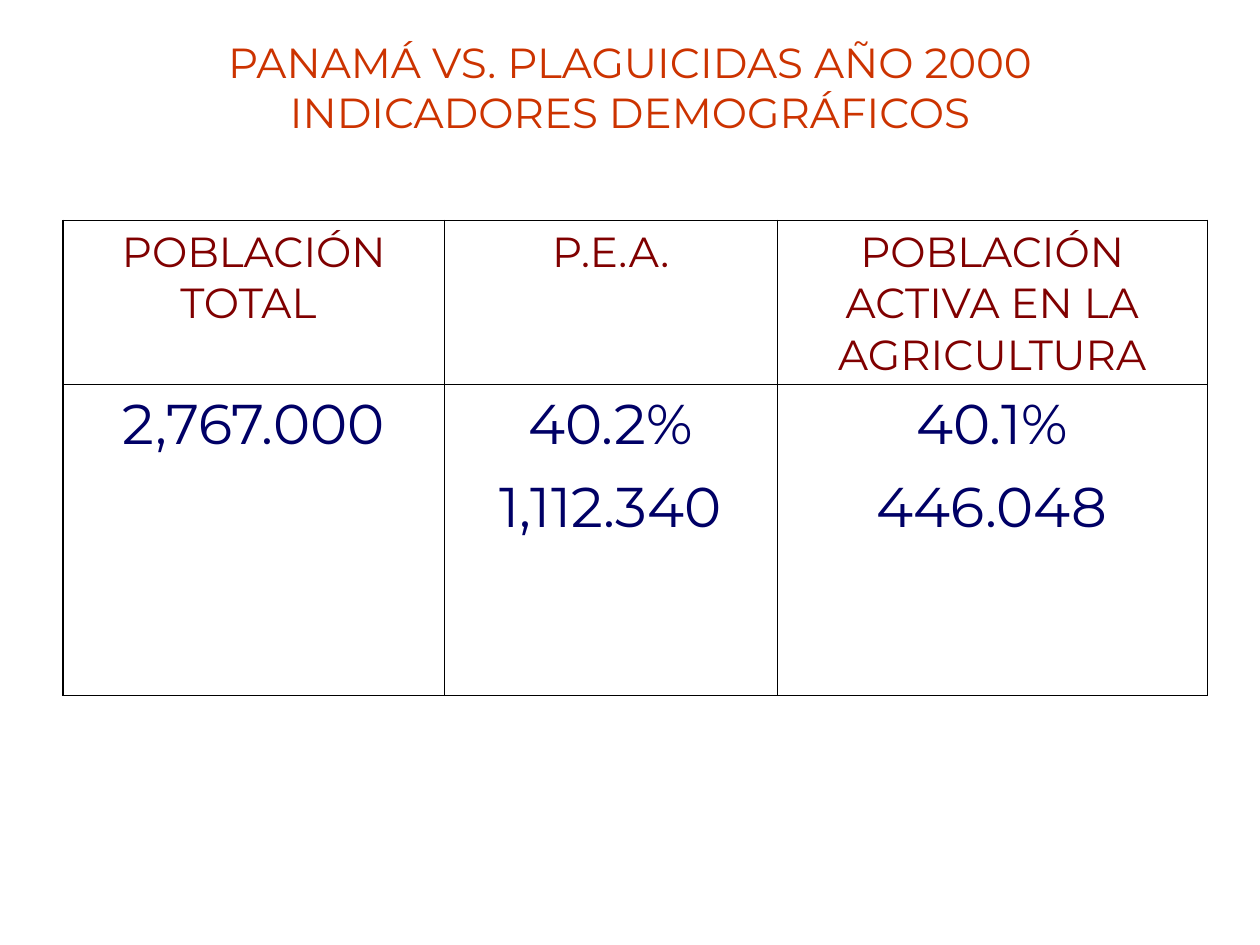
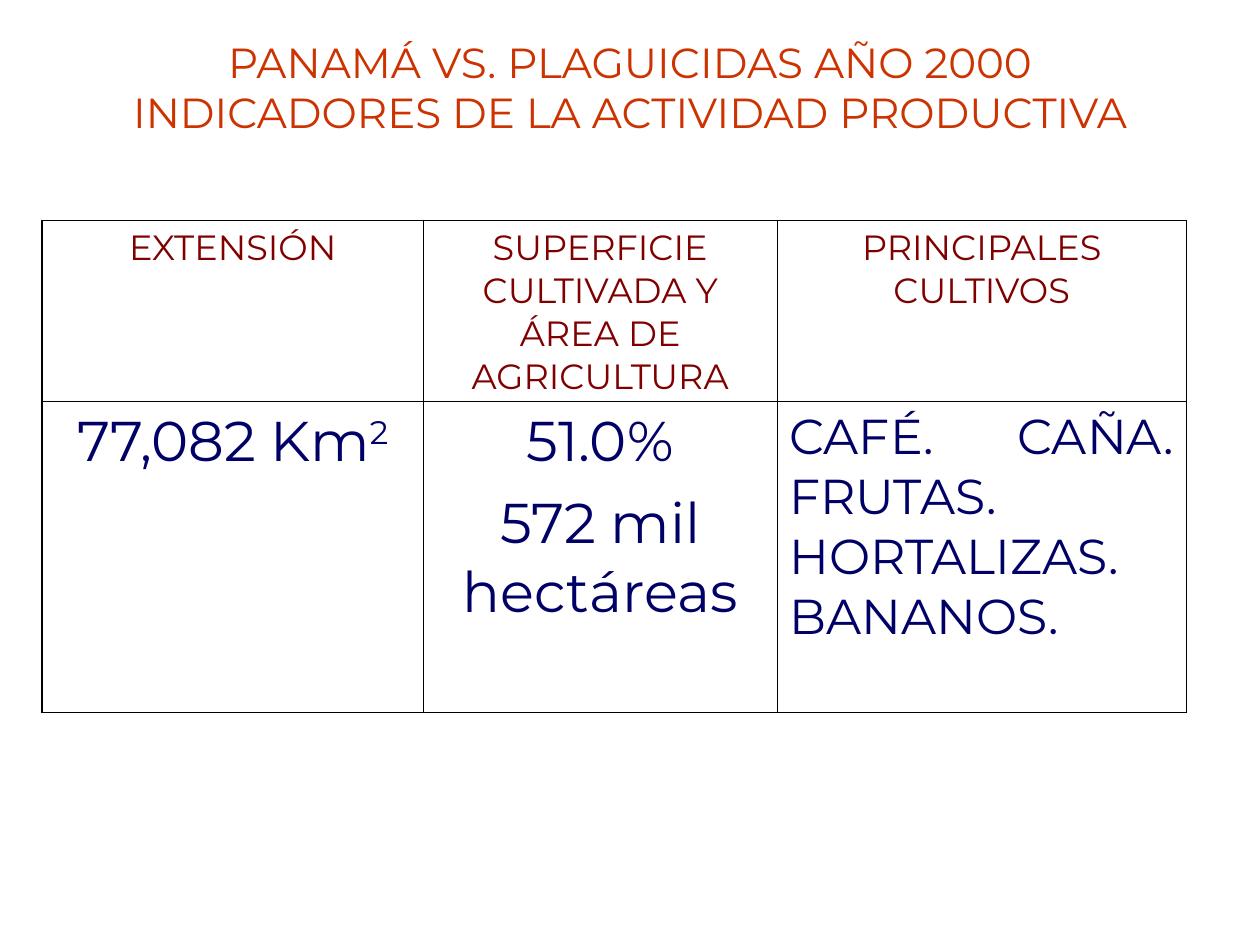
from lxml import etree
from pptx import Presentation
from pptx.dml.color import RGBColor
from pptx.enum.text import MSO_ANCHOR, PP_ALIGN
from pptx.oxml.ns import qn
from pptx.util import Pt

CENTER = PP_ALIGN.CENTER
JUSTIFY = PP_ALIGN.JUSTIFY
MIDDLE = MSO_ANCHOR.MIDDLE

FONT = "Montserrat"
COLORS = {"title": "CC3300", "header": "800000", "value": "000066", "border": "000000"}
OUTER_BORDER, INNER_BORDER = 1.08, 0.45
TABLE_TOP = 126
VALUE_ROW_HEIGHT = 177.84
VALUE_SIZE = 32

SLIDES = [
    {
        "title": "PANAMÁ VS. PLAGUICIDAS AÑO 2000 INDICADORES DEMOGRÁFICOS",
        "left": 36,
        "columns": [218, 190, 246],
        "header_height": 93.6,
        "header_size": 24,
        "headers": ["POBLACIÓN TOTAL ", "P.E.A.", "POBLACIÓN ACTIVA EN LA AGRICULTURA"],
        "values": [["2,767.000"], ["40.2%", "1,112.340"], ["40.1%", "446.048"]],
    },
    {
        "title": "PANAMÁ VS. PLAGUICIDAS AÑO 2000 INDICADORES DE LA ACTIVIDAD PRODUCTIVA",
        "left": 24,
        "columns": [218, 202, 234],
        "header_height": 102.96,
        "header_size": 20,
        "headers": ["EXTENSIÓN", "SUPERFICIE CULTIVADA Y ÁREA DE AGRICULTURA", "PRINCIPALES CULTIVOS"],
        "values": [["77,082 Km"], ["51.0%", "572 mil hectáreas"], ["CAFÉ. CAÑA. FRUTAS. HORTALIZAS. BANANOS."]],
    },
]


def write_lines(text_frame, lines, size, color):
    for index, line in enumerate(lines):
        paragraph = text_frame.add_paragraph() if index else text_frame.paragraphs[0]
        paragraph.text = line
        paragraph.alignment = CENTER
        if index:
            paragraph.space_before = Pt(8)
        paragraph.font.name = FONT
        paragraph.font.size = Pt(size)
        paragraph.font.color.rgb = RGBColor.from_string(COLORS[color])


def draw_borders(cell, edges):
    properties = cell._tc.get_or_add_tcPr()
    for side in ("L", "R", "T", "B"):
        width = OUTER_BORDER if side in edges else INNER_BORDER
        line = etree.SubElement(properties, qn(f"a:ln{side}"), w=str(int(Pt(width))))
        fill = etree.SubElement(line, qn("a:solidFill"))
        etree.SubElement(fill, qn("a:srgbClr"), val=COLORS["border"])


presentation = Presentation()
presentation.slide_width = Pt(720)
presentation.slide_height = Pt(540)
tables = []

for content in SLIDES:
    slide = presentation.slides.add_slide(presentation.slide_layouts[6])

    title = slide.shapes.add_textbox(Pt(36), Pt(21.6), Pt(648), Pt(56.16)).text_frame
    title.word_wrap = True
    title.vertical_anchor = MIDDLE
    write_lines(title, [content["title"]], 24, "title")

    heights = [content["header_height"], VALUE_ROW_HEIGHT]
    table = slide.shapes.add_table(
        2, 3, Pt(content["left"]), Pt(TABLE_TOP), Pt(sum(content["columns"])), Pt(sum(heights))
    ).table
    table.first_row = False
    table.horz_banding = False
    for row, height in zip(table.rows, heights):
        row.height = Pt(height)

    for index, width in enumerate(content["columns"]):
        table.columns[index].width = Pt(width)
        header, value = table.cell(0, index), table.cell(1, index)
        write_lines(header.text_frame, [content["headers"][index]], content["header_size"], "header")
        write_lines(value.text_frame, content["values"][index], VALUE_SIZE, "value")
        side = ("L", "", "R")[index]
        for cell, edge in ((header, "T"), (value, "B")):
            draw_borders(cell, edge + side)
            cell.fill.background()
    tables.append(table)

activity_table = tables[1]
area = activity_table.cell(1, 0).text_frame.paragraphs[0]
exponent = area.add_run()
exponent.text = "2"
exponent._r.get_or_add_rPr().set("baseline", "30000")

crops = activity_table.cell(1, 2).text_frame.paragraphs[0]
crops.alignment = JUSTIFY
crops.font.size = Pt(28)

presentation.save("out.pptx")
